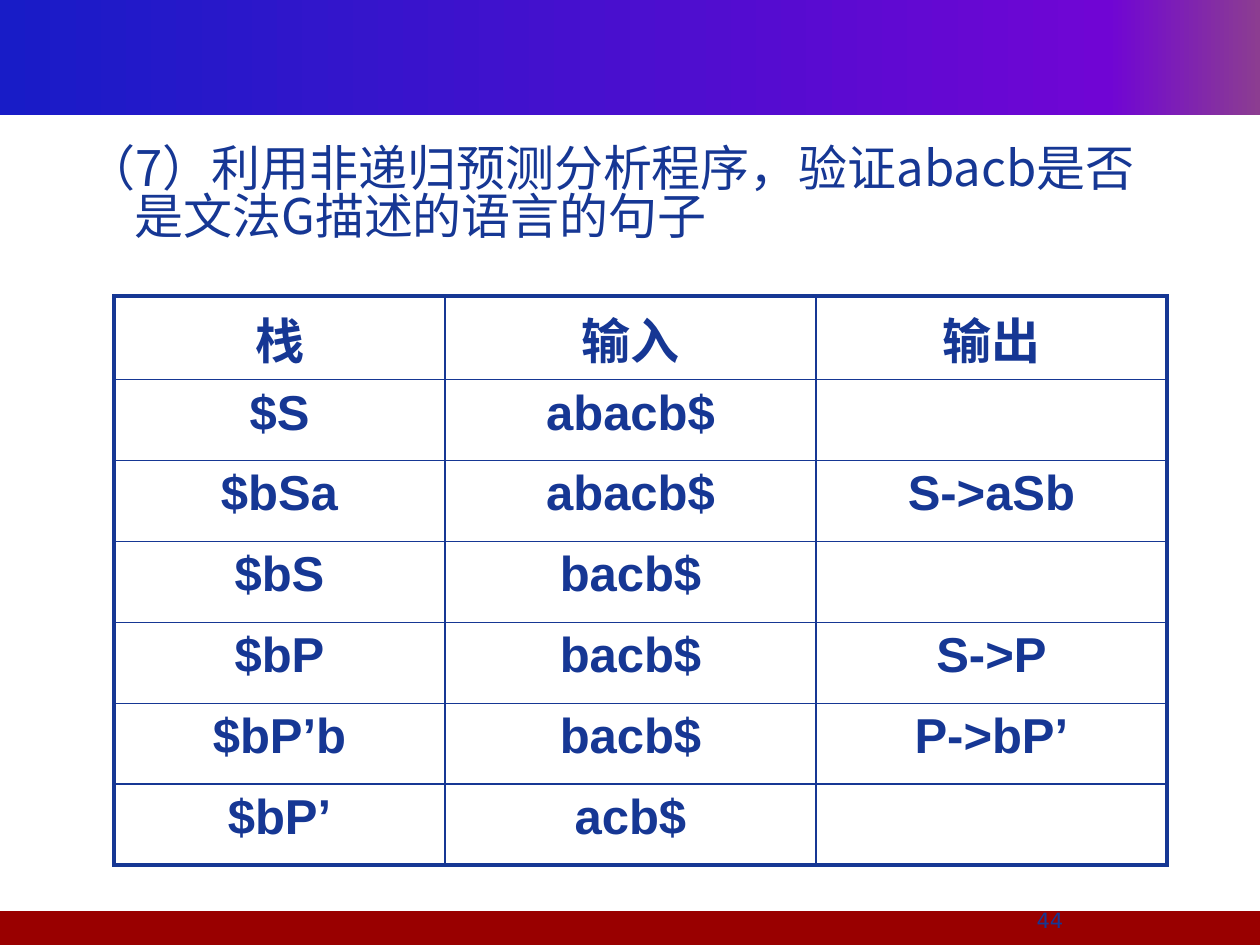
from dataclasses import dataclass

from lxml.etree import SubElement
from pptx import Presentation
from pptx.dml.color import RGBColor
from pptx.enum.shapes import MSO_SHAPE
from pptx.enum.text import MSO_ANCHOR, MSO_AUTO_SIZE, PP_ALIGN
from pptx.oxml import parse_xml
from pptx.oxml.ns import nsdecls, qn
from pptx.util import Emu, Pt


@dataclass(frozen=True)
class Theme:
    ink: str = "163794"
    foot: str = "990000"
    head: tuple = ((0, "181CC7"), (88, "7005D4"), (100, "8C3D91"))
    cjk: str = "Noto Sans CJK SC"
    sans: str = "Arial"
    page: str = "DejaVu Sans"
    big: int = 28
    small: int = 12
    thick: float = 2.25
    thin: float = 1


@dataclass(frozen=True)
class Box:
    x: int
    y: int
    w: int
    h: int


@dataclass(frozen=True)
class Step:
    stack: str
    input: str
    output: str = ""


THEME = Theme()
COLS = (331, 371, 351)
ROW = 81
STEPS = (
    Step("栈", "输入", "输出"),
    Step("$S", "abacb$"),
    Step("$bSa", "abacb$", "S->aSb"),
    Step("$bS", "bacb$"),
    Step("$bP", "bacb$", "S->P"),
    Step("$bP’b", "bacb$", "P->bP’"),
    Step("$bP’", "acb$"),
)


def px(n: int) -> Emu:
    return Emu(round(n * 914400 / 126))


def area(box: Box) -> tuple:
    return px(box.x), px(box.y), px(box.w), px(box.h)


def style(para, face: str, size: int, align, bold: bool = False) -> None:
    para.alignment = align
    font = para.font
    font.name, font.size, font.bold = face, Pt(size), bold
    font.color.rgb = RGBColor.from_string(THEME.ink)


def bar(slide, box: Box):
    shape = slide.shapes.add_shape(MSO_SHAPE.RECTANGLE, *area(box))
    shape.shadow.inherit = False
    shape.line.fill.background()
    return shape


def blend(shape, stops: tuple) -> None:
    """Fill a shape with a left-to-right gradient."""
    shape.fill.gradient()
    shape.fill.gradient_angle = 0
    old = shape.fill._fill._gradFill.find(qn("a:gsLst"))
    marks = "".join(
        f'<a:gs pos="{at * 1000}"><a:srgbClr val="{tint}"/></a:gs>'
        for at, tint in stops
    )
    new = parse_xml(f'<a:gsLst {nsdecls("a")}>{marks}</a:gsLst>')
    old.getparent().replace(old, new)


def edge(cell, sides: dict) -> None:
    """Draw cell borders; sides maps L, R, T, B to widths in points."""
    props = cell._tc.get_or_add_tcPr()
    for spot, (side, width) in enumerate(sides.items()):
        line = SubElement(props, qn(f"a:ln{side}"), w=str(Pt(width)))
        fill = SubElement(line, qn("a:solidFill"))
        SubElement(fill, qn("a:srgbClr"), val=THEME.ink)
        props.insert(spot, line)


def head(slide, text: str, box: Box) -> None:
    title = slide.shapes.title
    title.left, title.top, title.width, title.height = area(box)
    frame = title.text_frame
    frame.text = text
    frame.word_wrap = True
    frame.auto_size = MSO_AUTO_SIZE.NONE
    frame.vertical_anchor = MSO_ANCHOR.TOP
    frame.margin_top = px(12)
    para = frame.paragraphs[0]
    style(para, THEME.cjk, THEME.big, PP_ALIGN.LEFT)
    para.line_spacing = 0.82
    # Hanging indent
    props = para._p.get_or_add_pPr()
    props.set("marL", str(px(48)))
    props.set("indent", str(-px(48)))


def grid(slide, x: int, y: int) -> None:
    rows, cols = len(STEPS), len(COLS)
    box = Box(x, y, sum(COLS), rows * ROW)
    table = slide.shapes.add_table(rows, cols, *area(box)).table
    table.first_row = table.horz_banding = False
    for col, width in zip(table.columns, COLS):
        col.width = px(width)
    for r, step in enumerate(STEPS):
        table.rows[r].height = px(ROW)
        for c, text in enumerate((step.stack, step.input, step.output)):
            cell = table.cell(r, c)
            cell.text = text
            style(cell.text_frame.paragraphs[0], THEME.sans, THEME.big,
                  PP_ALIGN.CENTER, True)
            cell.fill.background()
            outer = {"L": c == 0, "R": c == cols - 1,
                     "T": r == 0, "B": r == rows - 1}
            edge(cell, {side: THEME.thick if out else THEME.thin
                        for side, out in outer.items()})


def label(slide, text: str, box: Box) -> None:
    frame = slide.shapes.add_textbox(*area(box)).text_frame
    frame.word_wrap = True
    frame.text = text
    style(frame.paragraphs[0], THEME.page, THEME.small, PP_ALIGN.CENTER)


def main() -> None:
    deck = Presentation()
    deck.slide_width, deck.slide_height = px(1260), px(945)
    slide = deck.slides.add_slide(deck.slide_layouts[5])

    # Top and bottom bands
    blend(bar(slide, Box(0, 0, 1260, 115)), THEME.head)
    foot = bar(slide, Box(-5, 911, 1265, 34))
    foot.fill.solid()
    foot.fill.fore_color.rgb = RGBColor.from_string(THEME.foot)

    # Question
    head(slide, "（7）利用非递归预测分析程序，验证abacb是否是文法G描述的语言的句子",
         Box(74, 136, 1094, 139))

    # Parsing steps
    grid(slide, 114, 296)

    # Page number
    label(slide, "44", Box(903, 901, 294, 23))

    deck.save("out.pptx")


if __name__ == "__main__":
    main()
